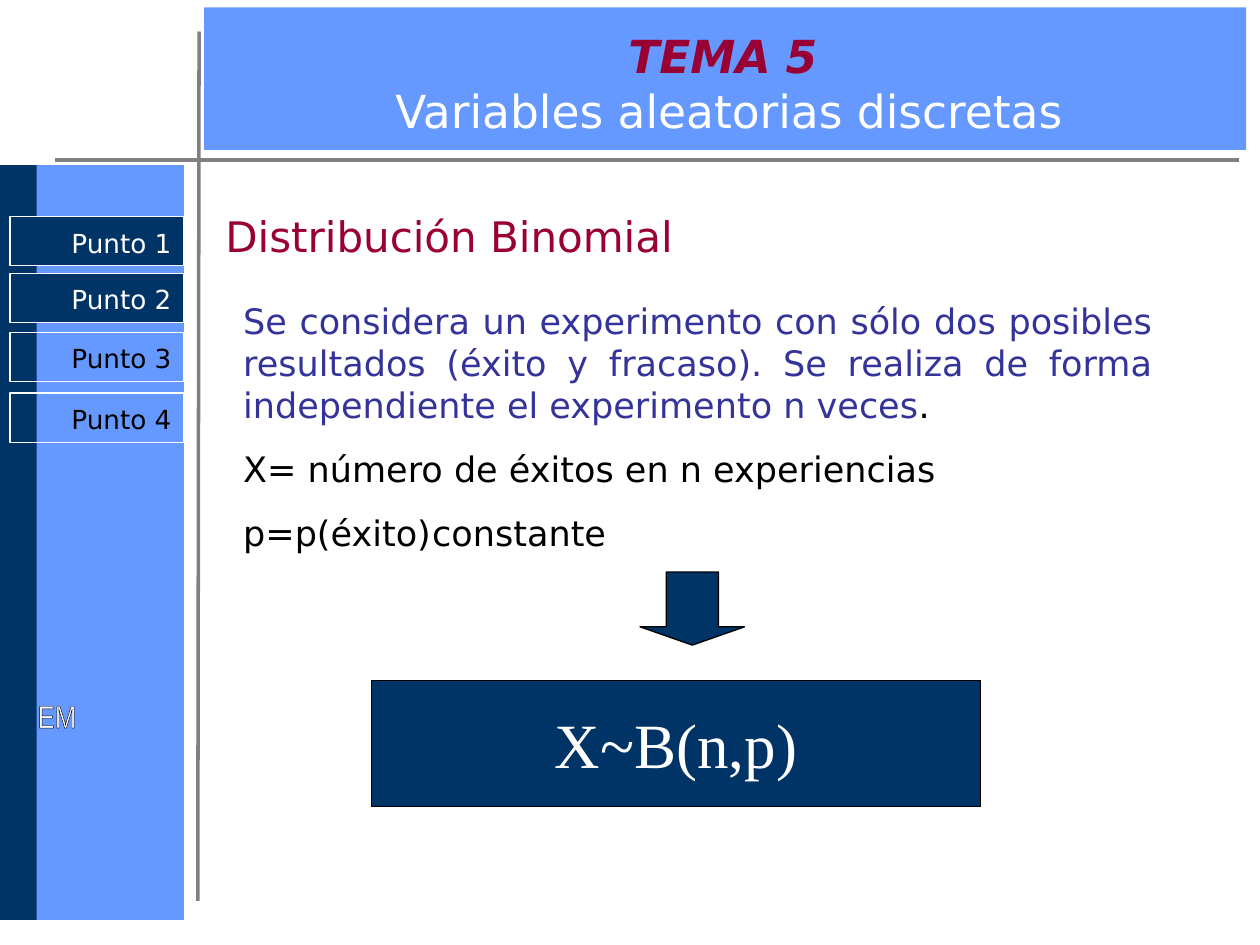
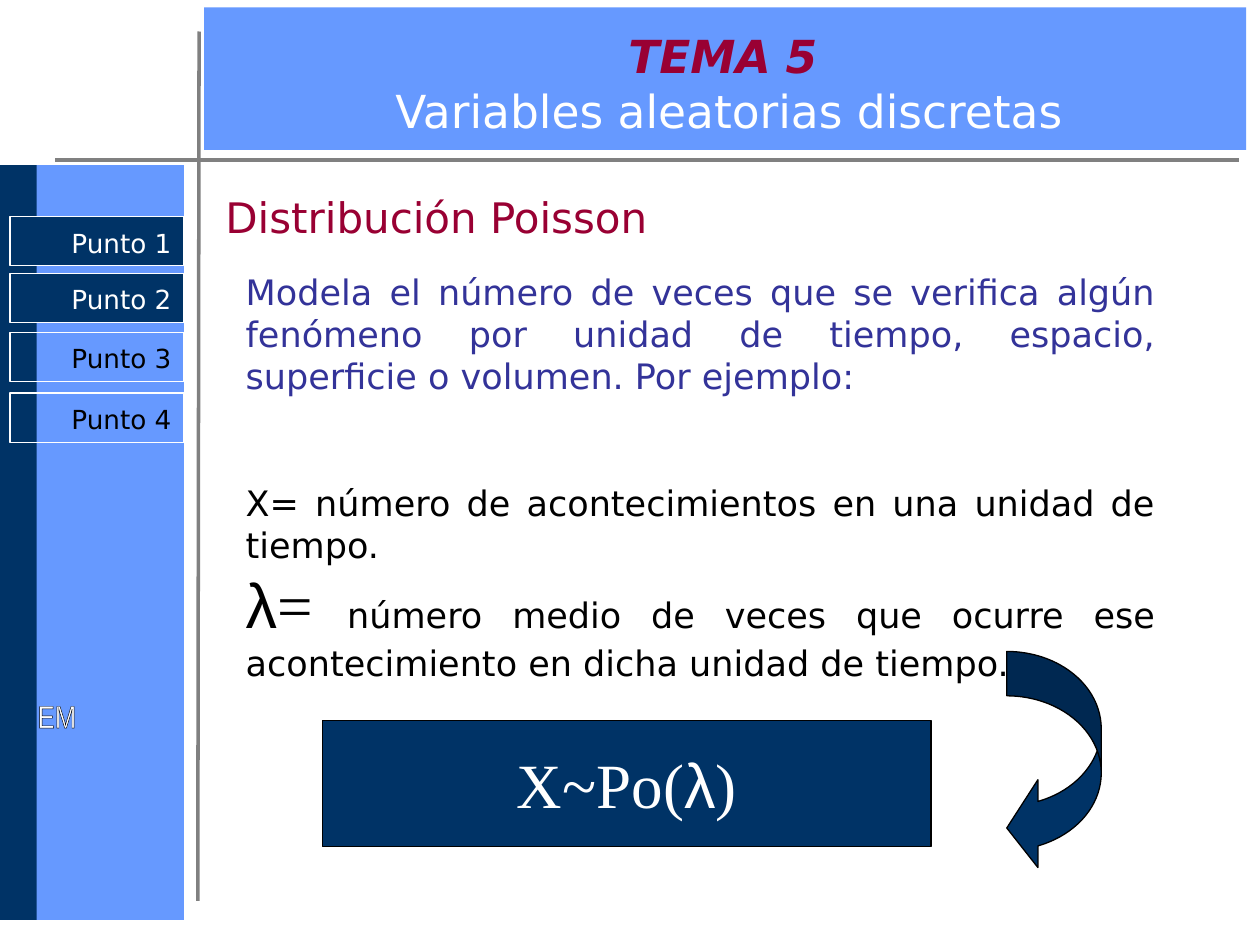
from pptx import Presentation
from pptx.dml.color import RGBColor
from pptx.enum.shapes import MSO_CONNECTOR, MSO_SHAPE
from pptx.enum.text import MSO_ANCHOR, MSO_AUTO_SIZE, PP_ALIGN
from pptx.oxml import parse_xml
from pptx.oxml.ns import nsdecls
from pptx.util import Pt

PX = 9144
RECT, DOWN_ARROW, CURVED_ARROW = (
    MSO_SHAPE.RECTANGLE, MSO_SHAPE.DOWN_ARROW, MSO_SHAPE.CURVED_LEFT_ARROW)
LEFT, CENTER, RIGHT, JUSTIFY = (
    PP_ALIGN.LEFT, PP_ALIGN.CENTER, PP_ALIGN.RIGHT, PP_ALIGN.JUSTIFY)
TOP, MIDDLE = MSO_ANCHOR.TOP, MSO_ANCHOR.MIDDLE

COLORS = {"navy": "003366", "sky": "6699FF", "gray": "808080", "wine": "990033",
          "indigo": "333399", "white": "FFFFFF", "black": "000000", "shade": "707070"}

SANS, SERIF = "DejaVu Sans", "Times New Roman"
FORMATS = {
    "theme": {"name": SANS, "size": Pt(26), "bold": True, "italic": True, "color": "wine"},
    "theme gap": {"name": SANS, "size": Pt(24), "bold": True, "italic": True, "color": "wine"},
    "subject gap": {"name": SANS, "size": Pt(24), "color": "white"},
    "subject": {"name": SANS, "size": Pt(26), "color": "white"},
    "heading": {"name": SANS, "size": Pt(24), "color": "wine"},
    "definition": {"name": SANS, "size": Pt(20), "color": "indigo"},
    "detail": {"name": SANS, "size": Pt(20), "color": "black"},
    "symbol": {"name": "Arial", "size": Pt(36), "color": "black"},
    "equals": {"name": SERIF, "size": Pt(36), "color": "black"},
    "formula": {"name": SERIF, "size": Pt(36), "color": "white"},
    "formula symbol": {"name": "Arial", "size": Pt(36), "color": "white"},
    "done": {"name": SANS, "size": Pt(15), "color": "white"},
    "pending": {"name": SANS, "size": Pt(15), "color": "black"},
    "initials": {"name": "Arial Narrow", "size": Pt(18)},
}

SIDEBAR = (0, 131, 146, 599)
BANNER = (162, 6, 827, 113)
BUTTON_TOPS = {"Punto 1": 41, "Punto 2": 86, "Punto 3": 133, "Punto 4": 181}


def rgb(color):
    """Return the named palette colour."""
    return RGBColor.from_string(COLORS[color])


def emu(*lengths):
    """Turn px lengths into EMU."""
    return [length * PX for length in lengths]


def inside(box, left, top, width, height):
    """Place a part relative to the corner of a box."""
    return box[0] + left, box[1] + top, width, height


def set_values(target, **values):
    """Set each given value as an attribute of the target."""
    for key, value in values.items():
        setattr(target, key, value)


def add_block(slide, box, kind=RECT, fill=None, line=None):
    """Add a flat preset shape."""
    block = slide.shapes.add_shape(kind, *emu(*box))
    block.shadow.inherit = False
    if fill:
        block.fill.solid()
        block.fill.fore_color.rgb = rgb(fill)
    else:
        block.fill.background()
    if line:
        block.line.color.rgb = rgb(line)
        block.line.width = Pt(0.75)
    else:
        block.line.fill.background()
    return block


def add_rule(slide, start, end):
    """Add a gray rule between two points."""
    rule = slide.shapes.add_connector(MSO_CONNECTOR.STRAIGHT, *emu(*start, *end))
    rule.line.color.rgb = rgb("gray")
    rule.line.width = Pt(2)
    rule._element.spPr.append(parse_xml(f"<a:effectLst {nsdecls('a')}/>"))


def add_run(paragraph, text, style):
    """Add a run in a named format."""
    run = paragraph.add_run()
    run.text = text
    values = {"bold": False, "italic": False, **FORMATS[style]}
    color = values.pop("color", None)
    set_values(run.font, **values)
    if color:
        run.font.color.rgb = rgb(color)
    return run


def write(shape, paragraphs, anchor=TOP, wrap=True, top_inset=5):
    """Fill a shape with (alignment, space before, runs) paragraphs."""
    frame = shape.text_frame
    set_values(frame, word_wrap=wrap, auto_size=MSO_AUTO_SIZE.NONE, vertical_anchor=anchor,
               margin_left=10 * PX, margin_right=10 * PX,
               margin_top=top_inset * PX, margin_bottom=5 * PX)
    for index, (alignment, before, runs) in enumerate(paragraphs):
        paragraph = frame.add_paragraph() if index else frame.paragraphs[0]
        set_values(paragraph, alignment=alignment, space_before=Pt(before))
        for text, style in runs:
            if text == "\n":
                paragraph.add_line_break()
            else:
                add_run(paragraph, text, style)


def move(shape, box):
    """Move a placeholder to a box."""
    set_values(shape, **dict(zip(("left", "top", "width", "height"), emu(*box))))


def add_button(slide, label, done):
    """Add one step of the sidebar menu."""
    box = inside(SIDEBAR, 8, BUTTON_TOPS[label], 138, 39)
    button = add_block(slide, box, fill="navy" if done else None, line="white")
    style = "done" if done else "pending"
    write(button, [(RIGHT, 9.4, [(label, style)])], top_inset=8)


def add_initials(slide, box):
    """Add the outlined initials with their gradient."""
    initials = slide.shapes.add_textbox(*emu(*box))
    write(initials, [(LEFT, 0, [("EM", "initials")])], wrap=False)
    stops = "".join(
        f'<a:gs pos="{position}"><a:srgbClr val="{COLORS[color]}"/></a:gs>'
        for position, color in ((0, "shade"), (50000, "white"), (100000, "shade")))
    properties = initials.text_frame.paragraphs[0].runs[0].font._element
    properties.insert(0, parse_xml(
        f'<a:ln {nsdecls("a")} w="9525"><a:solidFill>'
        f'<a:srgbClr val="{COLORS["black"]}"/></a:solidFill></a:ln>'))
    properties.insert(1, parse_xml(
        f'<a:gradFill {nsdecls("a")}><a:gsLst>{stops}</a:gsLst>'
        '<a:lin ang="2700000" scaled="1"/></a:gradFill>'))


def build_layout(slide, layout):
    """Draw the shared frame and hand it over to the layout."""
    for placeholder in list(layout.placeholders)[2:]:
        placeholder._element.getparent().remove(placeholder._element)
    add_block(slide, inside(SIDEBAR, 27, 0, 119, 599), fill="sky")
    add_block(slide, inside(SIDEBAR, 0, 0, 29, 599), fill="navy")
    add_block(slide, BANNER, fill="sky")
    add_rule(slide, (44, 127), (983, 127))
    add_rule(slide, (157, 715), (158, 25))
    for label in ("Punto 3", "Punto 4"):
        add_button(slide, label, done=False)
    add_initials(slide, inside(SIDEBAR, 20, 417, 183, 182))
    for shape in list(slide.shapes):
        if not shape.is_placeholder:
            layout.shapes._spTree.append(shape._element)


def add_topic(slide, heading, heading_top, body_box, paragraphs):
    """Write the title, menu, heading and body of a topic."""
    title, body = slide.placeholders
    move(title, inside(BANNER, 9, 21, 816, 77))
    write(title, [(CENTER, 0, [("TEMA", "theme"), (" ", "theme gap"), ("5", "theme"),
                               (" ", "subject gap"), ("\n", None),
                               ("Variables aleatorias discretas", "subject")])], anchor=MIDDLE)
    for label in ("Punto 1", "Punto 2"):
        add_button(slide, label, done=True)
    heading_box = slide.shapes.add_textbox(*emu(169, heading_top, 700, 50))
    write(heading_box, [(LEFT, 15, [(heading, "heading")])])
    move(body, body_box)
    write(body, paragraphs)
    for paragraph in body.text_frame.paragraphs:
        properties = paragraph._p.get_or_add_pPr()
        set_indent = {"marL": "0", "indent": "0"}
        for key, value in set_indent.items():
            properties.set(key, value)
        properties.append(parse_xml(f"<a:buNone {nsdecls('a')}/>"))
        properties.append(parse_xml(
            f'<a:tabLst {nsdecls("a")}><a:tab pos="{175 * PX}" algn="l"/></a:tabLst>'))


def add_conclusion(slide, box, runs, arrow_kind, arrow_box, adjustments):
    """Add the formula panel and the arrow placed relative to it."""
    panel = add_block(slide, box, fill="navy", line="black")
    write(panel, [(CENTER, 0, runs)], anchor=MIDDLE, wrap=False)
    arrow = add_block(slide, inside(box, *arrow_box), arrow_kind, "navy", "black")
    for index, value in enumerate(adjustments):
        arrow.adjustments[index] = value


def build_binomial(slide):
    """Build the binomial distribution slide."""
    add_topic(slide, "Distribución Binomial", 162, (183, 233, 742, 212), [
        (JUSTIFY, 12.5, [
            ("Se considera un experimento con sólo dos posibles resultados (éxito y fracaso). "
             "Se realiza de forma independiente el experimento n veces", "definition"),
            (".", "detail")]),
        (LEFT, 12.5, [("X= número de éxitos en n experiencias", "detail")]),
        (LEFT, 12.5, [("p=p(éxito)\tconstante", "detail")])])
    add_conclusion(slide, (295, 540, 483, 100), [("X~B(n,p)", "formula")],
                   DOWN_ARROW, (213, -86, 83, 58), (0.5, 0.25))


def build_poisson(slide):
    """Build the Poisson distribution slide."""
    add_topic(slide, "Distribución Poisson", 147, (185, 210, 742, 338), [
        (JUSTIFY, 12.5, [
            ("Modela el número de veces que se verifica algún fenómeno por unidad de tiempo, "
             "espacio, superficie o volumen. Por ejemplo:", "definition")]),
        (JUSTIFY, 48.5, [("X= número de acontecimientos en una unidad de tiempo.", "detail")]),
        (JUSTIFY, 0, [
            ("λ", "symbol"), ("= ", "equals"),
            ("número medio de veces que ocurre ese acontecimiento en dicha unidad de tiempo.",
             "detail")])])
    add_conclusion(slide, (256, 572, 483, 100),
                   [("X~Po(", "formula"), ("λ", "formula symbol"), (")", "formula")],
                   CURVED_ARROW, (543, -55, 75, 175), (0.47, 0.93, 0.33))


def main():
    """Build and save the presentation."""
    presentation = Presentation()
    set_values(presentation, slide_width=1000 * PX, slide_height=750 * PX)
    layout = presentation.slide_layouts[1]
    binomial, poisson = (presentation.slides.add_slide(layout) for _ in range(2))
    build_layout(binomial, layout)
    build_binomial(binomial)
    build_poisson(poisson)
    presentation.save("out.pptx")


if __name__ == "__main__":
    main()
